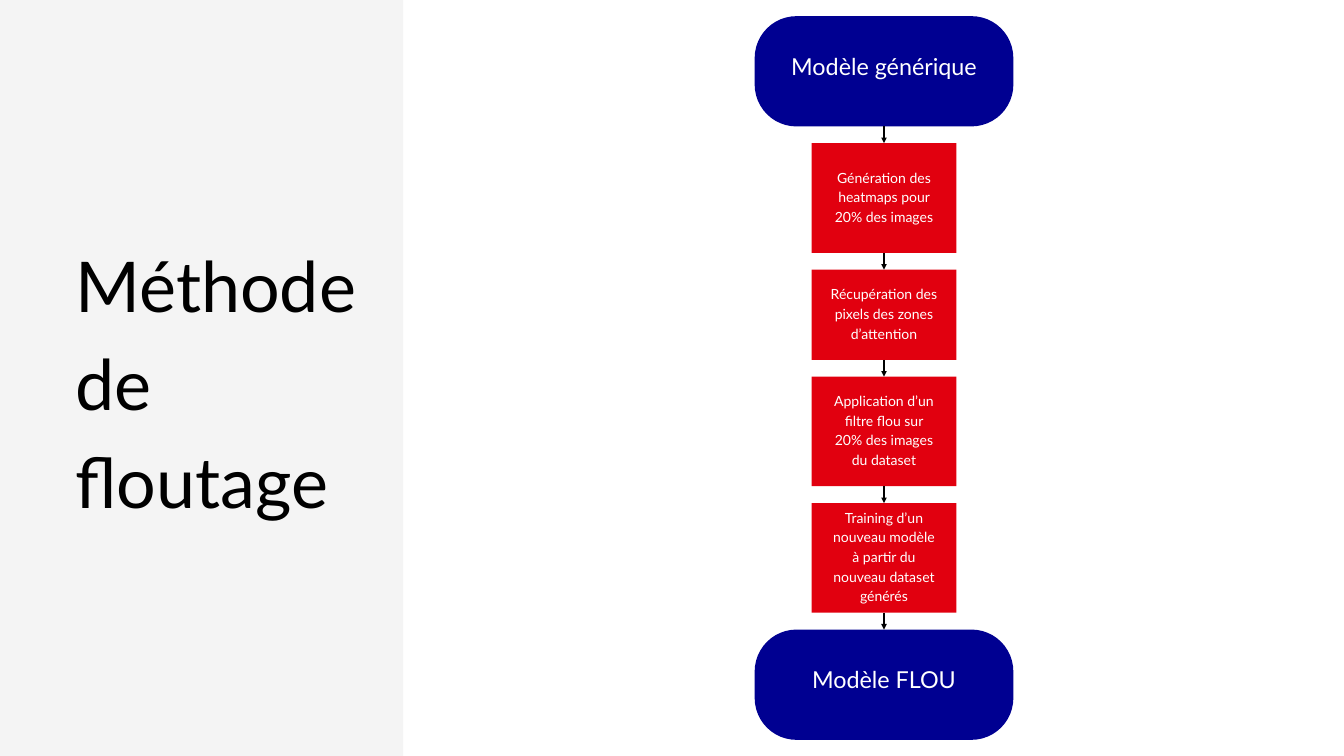
from collections import namedtuple
from dataclasses import dataclass

from pptx import Presentation
from pptx.dml.color import RGBColor
from pptx.enum.shapes import MSO_CONNECTOR, MSO_SHAPE
from pptx.enum.text import MSO_ANCHOR, MSO_AUTO_SIZE, PP_ALIGN
from pptx.oxml.ns import qn
from pptx.util import Inches, Pt
from lxml.etree import SubElement

WIDE, HIGH = 20, 11.25
Box = namedtuple("Box", "left top width height")
Kind = namedtuple("Kind", "form fill size width lift")


@dataclass(frozen=True)
class Theme:
    font: str = "Lato"
    panel: str = "F4F4F4"
    model: str = "000091"
    step: str = "E1000F"
    dark: str = "000000"
    light: str = "FFFFFF"
    title: int = 75
    head: int = 25
    body: int = 15
    leading: float = 1.4
    line: float = 1.5
    pad: float = 0.28


THEME = Theme()
MODEL = Kind(MSO_SHAPE.ROUNDED_RECTANGLE, THEME.model, THEME.head, 1, 0.22)
STEP = Kind(MSO_SHAPE.RECTANGLE, THEME.step, THEME.body, 0.56, 0.07)

NODES = [
    (MODEL, 1.64, "Modèle générique"),
    (STEP, 1.63, "Génération des heatmaps pour 20% des images"),
    (STEP, 1.34, "Récupération des pixels des zones d’attention"),
    (STEP, 1.63, "Application d’un filtre flou sur 20% des images du dataset"),
    (STEP, 1.63, "Training d’un nouveau modèle à partir du nouveau dataset générés"),
    (MODEL, 1.64, "Modèle FLOU"),
]
GAP = 0.25


def write(frame, text, size, color, align, anchor, pads):
    frame.text = text
    frame.word_wrap = True
    frame.auto_size = MSO_AUTO_SIZE.NONE
    frame.vertical_anchor = anchor
    left, top, right, bottom = map(Inches, pads)
    frame.margin_left, frame.margin_right = left, right
    frame.margin_top, frame.margin_bottom = top, bottom
    para = frame.paragraphs[0]
    para.alignment = align
    para.line_spacing = Pt(size * THEME.leading)
    para.space_before = Pt(0)
    font = para.runs[0].font
    font.name, font.size = THEME.font, Pt(size)
    font.color.rgb = RGBColor.from_string(color)


def block(slide, form, box, fill):
    shape = slide.shapes.add_shape(form, *map(Inches, box))
    shape.shadow.inherit = False
    shape.fill.solid()
    shape.fill.fore_color.rgb = RGBColor.from_string(fill)
    shape.line.fill.background()
    return shape


def node(slide, box, kind, text):
    shape = block(slide, kind.form, box, kind.fill)
    if kind is MODEL:
        shape.adjustments[0] = 0.38
    pad = THEME.pad
    write(shape.text_frame, text, kind.size, THEME.light, PP_ALIGN.CENTER,
          MSO_ANCHOR.MIDDLE, (pad, pad - kind.lift, pad, pad))
    return shape


def arrow(slide, start, end):
    link = slide.shapes.add_connector(MSO_CONNECTOR.STRAIGHT, 0, 0, 0, 0)
    link.begin_connect(start, 2)
    link.end_connect(end, 0)
    link.line.width = Pt(THEME.line)
    link.line.color.rgb = RGBColor.from_string(THEME.dark)
    SubElement(link.line._get_or_add_ln(), qn("a:tailEnd"), type="triangle")
    SubElement(link._element.spPr, qn("a:effectLst"))


def panel(slide, box):
    block(slide, MSO_SHAPE.RECTANGLE, box, THEME.panel)
    title = slide.shapes.title
    slide.shapes._spTree.append(title._element)
    left = box.width * 0.187
    title.left, title.width = Inches(box.left + left), Inches(box.width - left)
    title.top = Inches(box.top + box.height * 0.302)
    title.height = Inches(box.height * 0.381)
    write(title.text_frame, "Méthode de floutage", THEME.title, THEME.dark,
          PP_ALIGN.LEFT, MSO_ANCHOR.TOP, (0, 0, 0, 0))


def flow(slide, box):
    total = sum(rows for _, rows, _ in NODES) + GAP * (len(NODES) - 1)
    unit = box.height / total
    top, last = box.top, None
    for kind, rows, text in NODES:
        width = box.width * kind.width
        left = box.left + (box.width - width) / 2
        shape = node(slide, Box(left, top, width, rows * unit), kind, text)
        if last is not None:
            arrow(slide, last, shape)
        last = shape
        top += (rows + GAP) * unit


def main():
    deck = Presentation()
    deck.slide_width, deck.slide_height = Inches(WIDE), Inches(HIGH)
    slide = deck.slides.add_slide(deck.slide_layouts[5])
    panel(slide, Box(0, 0, WIDE * 0.3, HIGH))
    edge = 0.24
    flow(slide, Box(11.23, edge, 3.85, HIGH - 2 * edge))
    deck.save("out.pptx")


if __name__ == "__main__":
    main()
